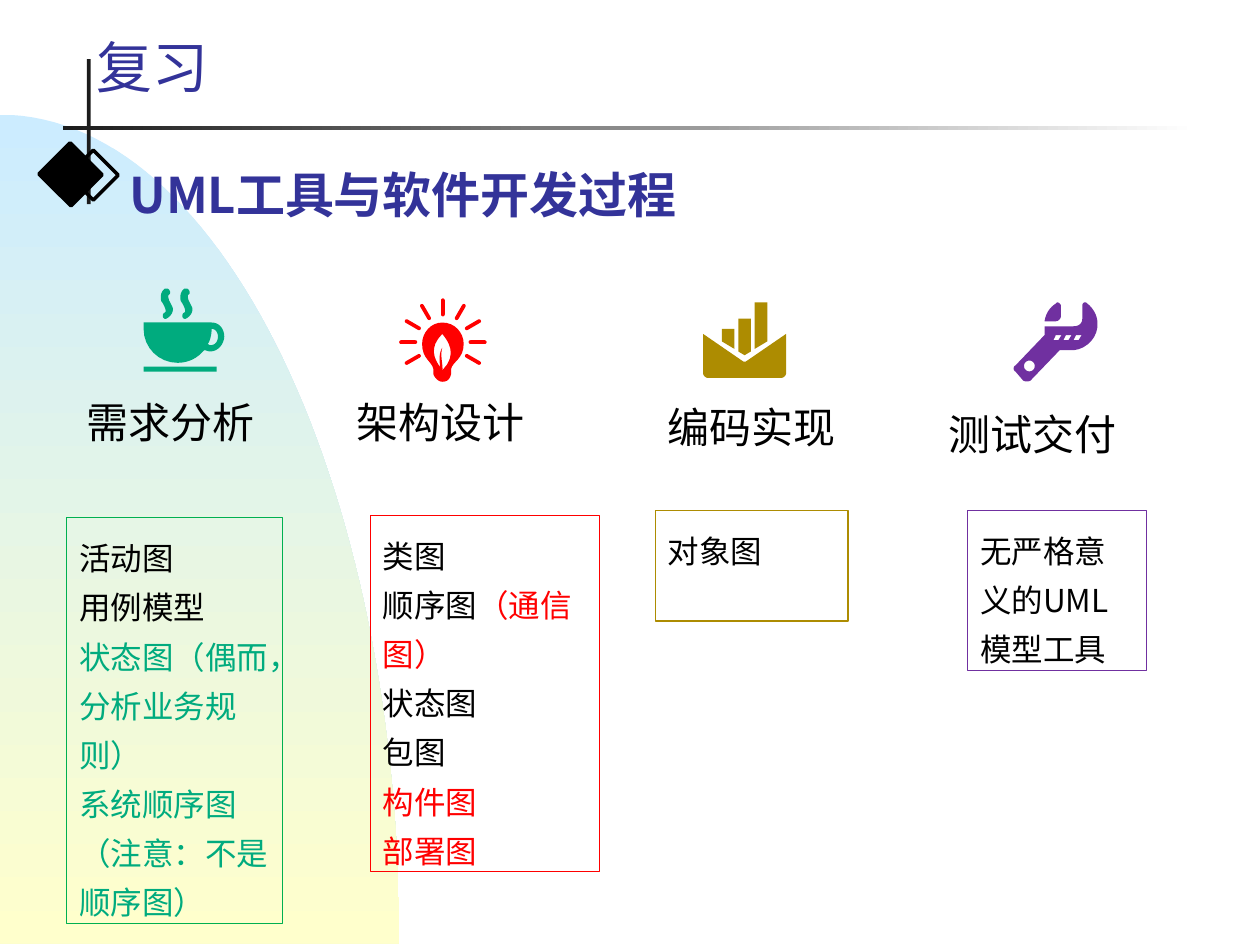
from math import cos, pi, sin

from lxml import etree
from pptx import Presentation
from pptx import util as u
from pptx.dml.color import RGBColor
from pptx.enum import shapes, text
from pptx.oxml.ns import qn

CJK = "Noto Sans CJK SC"
NAVY, INK, BLACK = "333399", "1C1C1C", "000000"
GREEN, RED, GOLD, PLUM = "00AB7E", "FF0000", "AD8C01", "7030A0"
PITCH = {18: 28.1, 24: 37.4, 28: 33.8, 32: 39}

STEAM = [(133, 229), (135, 230, 136, 233, 134, 234), (133, 235, 134, 237, 134, 238),
         (135, 240, 136, 242, 137, 244), (138, 247, 136, 251, 132, 253),
         (129, 254, 128, 249, 131, 248), (133, 247, 129, 240, 128, 239),
         (127, 235, 128, 231, 131, 229)]
CUP = [(114, 256), (168, 256), (174, 256, 178, 261, 178, 267),
       (178, 273, 173, 279, 167, 279), (165, 279, 164, 278, 162, 278),
       (157, 284, 150, 288, 141, 288), (126, 288, 114, 276, 114, 261)]
GRIP = [(168, 261), (168, 265, 167, 270, 165, 273), (166, 274, 167, 274, 167, 274),
        (171, 274, 173, 271, 173, 267), (173, 264, 171, 261, 168, 261)]
BULB = [(351, 256), (361, 256, 368, 264, 368, 273), (368, 285, 359, 287, 358, 293),
        (358, 297), (357, 301, 355, 303, 351, 303), (348, 303, 345, 300, 344, 297),
        (344, 293), (343, 287, 335, 285, 335, 273), (335, 264, 342, 256, 351, 256)]
LEAF = [(351, 265), (340, 276, 345, 285, 349, 291), (350, 292, 347, 282, 351, 276),
        (349, 282, 352, 291, 351, 294), (364, 281, 355, 270, 351, 265)]
TRAY = [(558, 265), (590, 287), (592, 287), (624, 265), (624, 296),
        (624, 298, 622, 300, 620, 300), (562, 300), (560, 300, 558, 298, 558, 296)]
BARS = [[(573, 261), (583, 261), (583, 277), (573, 271)],
        [(586, 253), (596, 253), (596, 279), (591, 282), (586, 279)],
        [(599, 240), (609, 240), (609, 271), (599, 277)]]
WRENCH = [(861, 240), (862, 240, 862, 240, 863, 241), (867, 244, 871, 250, 871, 256),
          (872, 267, 863, 277, 852, 278), (841, 278), (818, 302),
          (817, 303, 813, 303, 812, 302), (806, 295), (804, 294, 804, 291, 806, 290),
          (829, 266), (829, 259), (852, 259), (856, 259, 859, 257, 859, 253),
          (859, 243), (859, 241, 860, 240, 861, 240)]
JAW = [(839, 240), (840, 240, 842, 241, 842, 243), (842, 251),
       (842, 253, 840, 255, 838, 255), (829, 255), (830, 249, 833, 244, 838, 241)]
WAVE = [(0, 91), (175, 91, 317, 386, 317, 749), (0, 749)]


def rgb(code):
    return RGBColor.from_string(code)


def blend(fill, first, last, angle):
    fill.gradient()
    fill.gradient_angle = angle
    for stop, code, spot in zip(fill.gradient_stops, (first, last), (0, 1)):
        stop.color.rgb = rgb(code)
        stop.position = spot


def paint(shape, fill=None, line=None, width=0.75):
    shape.shadow.inherit = False
    if fill:
        shape.fill.solid()
        shape.fill.fore_color.rgb = rgb(fill)
    else:
        shape.fill.background()
    if line:
        shape.line.color.rgb = rgb(line)
        shape.line.width = u.Pt(width)
    else:
        shape.line.fill.background()
    return shape


def rect(slide, at, turn=0, **look):
    shape = slide.shapes.add_shape(shapes.MSO_SHAPE.RECTANGLE, *map(u.Inches, at))
    shape.rotation = turn
    return paint(shape, **look)


def write(shape, paras, size, font=CJK, bold=False):
    frame = shape.text_frame
    frame.word_wrap = True
    frame.vertical_anchor = text.MSO_ANCHOR.TOP
    frame.margin_left = frame.margin_right = u.Inches(0.1)
    frame.margin_top, frame.margin_bottom = u.Inches(0.08), u.Inches(0.02)
    for i, runs in enumerate(paras):
        para = frame.add_paragraph() if i else frame.paragraphs[0]
        para.alignment = text.PP_ALIGN.LEFT
        para.line_spacing = u.Pt(PITCH[size])
        for words, code in runs:
            run = para.add_run()
            run.text = words
            run.font.size = u.Pt(size)
            run.font.bold = bold
            run.font.color.rgb = rgb(code)
            run.font.name = font
            east = etree.SubElement(run.font._element, qn("a:ea"))
            east.set("typeface", CJK)


def label(slide, at, words, size, code, **style):
    box = slide.shapes.add_textbox(*map(u.Inches, at))
    write(box, [[(words, code)]], size, **style)


def trace(steps, count=8):
    pts = []
    for step in steps:
        if len(step) == 2:
            pts.append(step)
            continue
        a, b, c, d = pts[-1], step[:2], step[2:4], step[4:]
        for i in range(1, count + 1):
            t = i / count
            s = 1 - t
            pts.append(tuple(s**3 * a[k] + 3 * s * s * t * b[k] + 3 * s * t * t * c[k]
                             + t**3 * d[k] for k in (0, 1)))
    return [(u.Inches(x / 100), u.Inches(y / 100)) for x, y in pts]


def draw(slide, loops, fill, count=8):
    first, *rest = [trace(loop, count) for loop in loops]
    pen = slide.shapes.build_freeform(*first[0])
    pen.add_line_segments(first[1:])
    for pts in rest:
        pen.move_to(*pts[0])
        pen.add_line_segments(pts[1:])
    return paint(pen.convert_to_shape(), fill=fill)


def shift(loop, dx):
    return [tuple(v if i % 2 else v + dx for i, v in enumerate(step)) for step in loop]


def ray(deg):
    ang = deg * pi / 180
    ends = ((332, ang - pi / 2), (219, ang + pi / 2))
    return [(351.5 + r / 10 * cos(ang) + 1.5 * cos(base + i * pi / 6),
             271.5 + r / 10 * sin(ang) + 1.5 * sin(base + i * pi / 6))
            for r, base in ends for i in range(7)]


def ring(x, y, r):
    return [(x + r * cos(i * pi / 12), y + r * sin(i * pi / 12)) for i in range(24)]


def slot(x):
    return [(x, 266), (x - 2, 270), (x + 2, 270), (x + 4.5, 266)]


def frame(slide):
    blend(draw(slide, [WAVE], "CCECFF", 60).fill, "CCECFF", "FFFFCC", 270)
    rect(slide, (0.69, 0.47, 0.03, 1.15), fill=INK)
    blend(rect(slide, (0.5, 1, 9, 0.03)).fill, INK, "FFFFFF", 0)
    rect(slide, (0.6, 1.25, 0.28, 0.28), 45, line=BLACK, width=2)
    rect(slide, (0.38, 1.21, 0.36, 0.35), 45, fill=BLACK, line=BLACK, width=2)


def icons(slide):
    base = [(114, 291), (172, 291), (172, 295), (114, 295)]
    draw(slide, [base, CUP, GRIP, STEAM, shift(STEAM, 15.5)], GREEN)
    rays = [ray(deg) for deg in range(150, 391, 30)]
    draw(slide, [BULB, LEAF, *rays], RED)
    draw(slide, [TRAY, *BARS], GOLD)
    slots = [slot(x) for x in (838, 846, 854)]
    draw(slide, [WRENCH, JAW, ring(817, 290.5, 4.3), *slots], PLUM)


def main():
    deck = Presentation()
    deck.slide_width, deck.slide_height = u.Inches(10), u.Inches(7.5)
    slide = deck.slides.add_slide(deck.slide_layouts[6])
    frame(slide)
    label(slide, (0.93, 1.22, 4.98, 0.57), "UML工具与软件开发过程", 28, NAVY, bold=True)
    label(slide, (0.67, 0.17, 7.08, 0.75), "复习", 32, NAVY, font="Roboto")
    icons(slide)
    stages = [
        ("需求分析", 0.59, 2.95, (0.53, 4.11, 1.71, 3.22), "00B050",
         [[("活动图", BLACK)], [("用例模型", BLACK)],
          [("状态图（偶而，分析业务规则）", GREEN)],
          [("系统顺序图（注意：不是顺序图）", GREEN)]]),
        ("架构设计", 2.73, 2.95, (2.94, 4.09, 1.82, 2.83), RED,
         [[("类图", BLACK)], [("顺序图", BLACK), ("（通信图）", RED)],
          [("状态图", BLACK)], [("包图", BLACK)],
          [("构件图", RED)], [("部署图", RED)]]),
        ("编码实现", 5.2, 2.99, (5.2, 4.05, 1.53, 0.88), GOLD, [[("对象图", BLACK)]]),
        ("测试交付", 7.43, 3.04, (7.68, 4.05, 1.42, 1.27), PLUM,
         [[("无严格意义的UML模型工具", BLACK)]]),
    ]
    for name, x, y, at, line, paras in stages:
        label(slide, (x, y, 1.76, 0.62), name, 24, BLACK, font="Roboto")
        write(rect(slide, at, line=line), paras, 18)
    deck.save("out.pptx")


if __name__ == "__main__":
    main()
